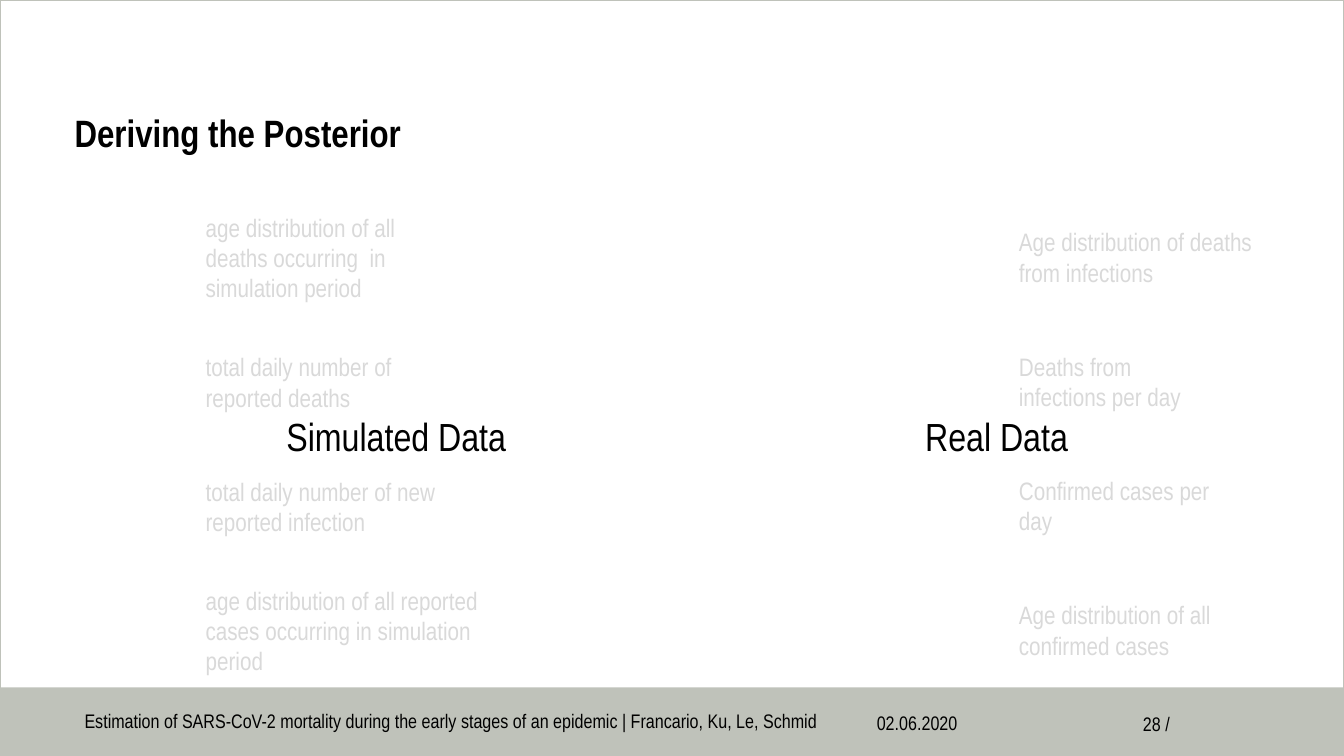
"""Build the slide that sets simulated data beside real data."""
import dataclasses
import typing

import pptx
import pptx.dml.color
import pptx.enum.shapes
import pptx.enum.text
import pptx.oxml
import pptx.oxml.ns
import pptx.util

Pt = pptx.util.Pt
Align = pptx.enum.text.PP_ALIGN
Anchor = pptx.enum.text.MSO_ANCHOR
FONT = "Arial Narrow"
BLACK, WHITE, GREY = "000000", "FFFFFF", "BFC2BA"
STEP = 88.8


@dataclasses.dataclass(frozen=True)
class Box:
    left: float
    top: float
    width: float
    height: float


@dataclasses.dataclass(frozen=True)
class Label:
    text: str
    box: Box


@dataclasses.dataclass(frozen=True)
class Column:
    left: float
    top: float
    height: float
    inset: bool
    anchor: Anchor
    items: tuple[tuple[str, float], ...]


FOOTER = (
    Label("Estimation of SARS-CoV-2 mortality during the early stages of an epidemic"
          " | Francario, Ku, Le, Schmid", Box(53.3, 490.3, 563, 49)),
    Label("02.06.2020", Box(619.2, 491, 97.2, 49.7)),
    Label("28 /", Box(809.3, 491.8, 97.2, 49.7)),
)
COLUMNS = (
    Column(146.9, 150.5, 67, False, Anchor.MIDDLE, (
        ("age distribution of all deaths occurring  in simulation period", 170.6),
        ("total daily number of reported deaths", 153.4),
        ("total daily number of new reported infection", 170.6),
        ("age distribution of all reported cases occurring in simulation period", 195.1),
    )),
    Column(720.7, 158.4, 51, True, Anchor.TOP, (
        ("Age distribution of deaths from infections", 182.2),
        ("Deaths from infections per day", 154.8),
        ("Confirmed cases per day", 154.8),
        ("Age distribution of all confirmed cases", 154.8),
    )),
)
VEILS = (
    Label("Simulated Data", Box(45.4, 134.6, 475.2, 352.8)),
    Label("Real Data", Box(520.6, 134.6, 382.3, 352.8)),
)


def color(code: str) -> pptx.dml.color.RGBColor:
    return pptx.dml.color.RGBColor.from_string(code)


def place(box: Box) -> tuple[int, int, int, int]:
    return Pt(box.left), Pt(box.top), Pt(box.width), Pt(box.height)


def write(shape: typing.Any, text: str, size: float, align: Align,
          anchor: Anchor, inset: bool = True, bold: bool = False) -> None:
    frame = shape.text_frame
    frame.text = text
    frame.word_wrap = True
    frame.auto_size = pptx.enum.text.MSO_AUTO_SIZE.NONE
    frame.vertical_anchor = anchor
    if not inset:
        frame.margin_left = frame.margin_right = 0
        frame.margin_top = frame.margin_bottom = 0
    line = frame.paragraphs[0]
    line.alignment = align
    font = line.runs[0].font
    font.name, font.size, font.bold = FONT, Pt(size), bold
    font.color.rgb = color(BLACK)


def add_text(slide: typing.Any, label: Label, size: float, align: Align,
             anchor: Anchor, inset: bool = True) -> None:
    shape = slide.shapes.add_textbox(*place(label.box))
    write(shape, label.text, size, align, anchor, inset)


def add_rect(slide: typing.Any, box: Box, fill: str | None = None,
             edge: str | None = None) -> typing.Any:
    kind = pptx.enum.shapes.MSO_SHAPE.RECTANGLE
    shape = slide.shapes.add_shape(kind, *place(box))
    shape.shadow.inherit = False
    if fill:
        shape.fill.solid()
        shape.fill.fore_color.rgb = color(fill)
    else:
        shape.fill.background()
    if edge:
        shape.line.color.rgb = color(edge)
        shape.line.width = Pt(2)
    else:
        shape.line.fill.background()
    return shape


def add_veil(slide: typing.Any, label: Label) -> None:
    shape = add_rect(slide, label.box, WHITE)
    tone = shape.fill._xPr.find(".//" + pptx.oxml.ns.qn("a:srgbClr"))
    alpha = pptx.oxml.parse_xml(f'<a:alpha {pptx.oxml.ns.nsdecls("a")} val="85000"/>')
    tone.append(alpha)
    write(shape, label.text, 28, Align.CENTER, Anchor.MIDDLE)


def add_column(slide: typing.Any, col: Column) -> None:
    for row, (text, width) in enumerate(col.items):
        box = Box(col.left, col.top + row * STEP, width, col.height)
        add_text(slide, Label(text, box), 18, Align.LEFT, col.anchor, col.inset)


def set_title(slide: typing.Any) -> None:
    title = slide.shapes.title
    title.left, title.top, title.width, title.height = place(Box(53.3, 82.1, 853.2, 43.9))
    write(title, "Deriving the Posterior", 27.2, Align.LEFT, Anchor.TOP, False, True)
    title.text_frame.paragraphs[0].line_spacing = 0.9


def main() -> None:
    deck = pptx.Presentation()
    deck.slide_width, deck.slide_height = Pt(960), Pt(540)
    slide = deck.slides.add_slide(deck.slide_layouts[5])
    set_title(slide)
    add_rect(slide, Box(0, 491, 960, 49), GREY)
    add_rect(slide, Box(0, 0, 960, 540), edge=GREY)
    for label in FOOTER:
        add_text(slide, label, 14, Align.JUSTIFY, Anchor.MIDDLE)
    for col in COLUMNS:
        add_column(slide, col)
    for label in VEILS:
        add_veil(slide, label)
    deck.save("out.pptx")


if __name__ == "__main__":
    main()
